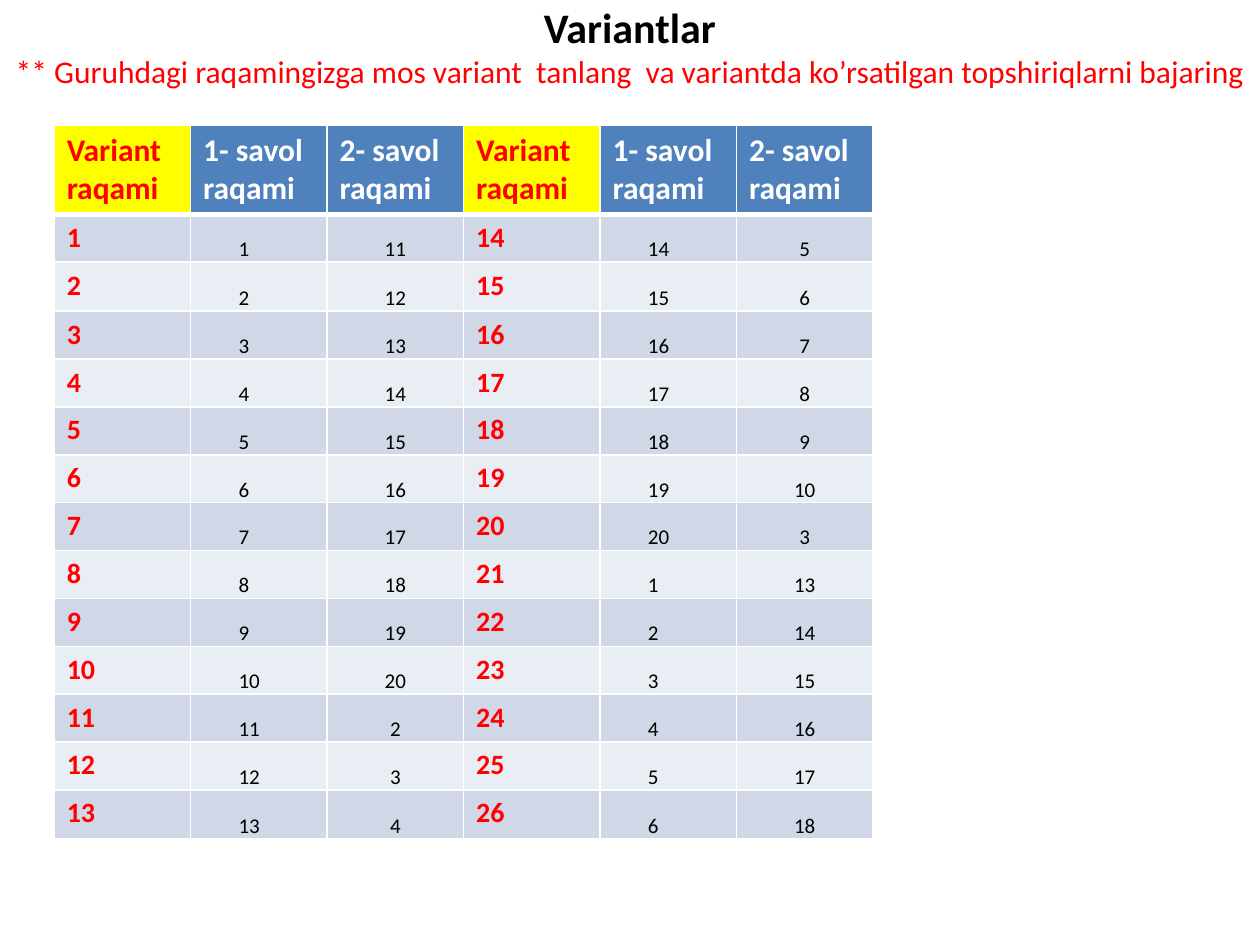
from dataclasses import dataclass

from lxml import etree
from pptx import Presentation
from pptx.dml.color import RGBColor
from pptx.enum.text import MSO_ANCHOR, PP_ALIGN
from pptx.oxml.ns import qn
from pptx.util import Inches, Pt

CENTER, LEFT = PP_ALIGN.CENTER, PP_ALIGN.LEFT
TOP, MIDDLE, BOTTOM = MSO_ANCHOR.TOP, MSO_ANCHOR.MIDDLE, MSO_ANCHOR.BOTTOM


@dataclass(frozen=True)
class Theme:
    font: str = "Calibri"
    black: str = "000000"
    white: str = "FFFFFF"
    red: str = "FF0000"
    yellow: str = "FFFF00"
    blue: str = "4F81BD"
    bands: tuple = ("D0D8E8", "E9EDF4")
    title_size: int = 24
    header_size: int = 18
    variant_size: int = 16
    number_size: int = 12
    border: int = 1
    header_border: int = 3


class SlideBuilder:
    def __init__(self, slide, theme):
        self.slide = slide
        self.theme = theme

    def style(self, span, size, color, bold):
        span.font.name = self.theme.font
        span.font.size = Pt(size)
        span.font.bold = bold
        span.font.color.rgb = RGBColor.from_string(color)

    def heading(self, left, top, width, height, lines):
        """Centred lines of one paragraph, each (text, size, color, bold)."""
        box = self.slide.shapes.add_textbox(
            Inches(left), Inches(top), Inches(width), Inches(height))
        frame = box.text_frame
        frame.word_wrap = True
        frame.vertical_anchor = MIDDLE
        para = frame.paragraphs[0]
        para.alignment = CENTER
        for index, (text, *look) in enumerate(lines):
            if index:
                para.add_line_break()
            span = para.add_run()
            span.text = text
            self.style(span, *look)

    def table(self, left, top, column_width, row_heights, columns):
        shape = self.slide.shapes.add_table(
            len(row_heights), columns, Inches(left), Inches(top),
            Inches(column_width * columns), Inches(sum(row_heights)))
        table = shape.table
        table.first_row = table.horz_banding = False
        for column in table.columns:
            column.width = Inches(column_width)
        for row, height in zip(table.rows, row_heights):
            row.height = Inches(height)
        return table

    def borders(self, cell, top, bottom):
        properties = cell._tc.get_or_add_tcPr()
        side = self.theme.border
        for tag, width in (("lnL", side), ("lnR", side), ("lnT", top), ("lnB", bottom)):
            line = etree.SubElement(properties, qn(f"a:{tag}"), w=str(Pt(width)))
            fill = etree.SubElement(line, qn("a:solidFill"))
            etree.SubElement(fill, qn("a:srgbClr"), val=self.theme.white)

    def cell(self, cell, text, fill, size, color, bold, align=LEFT, anchor=TOP, margins=None):
        cell.text_frame.text = text
        cell.vertical_anchor = anchor
        if margins:
            (cell.margin_left, cell.margin_top, cell.margin_right,
             cell.margin_bottom) = map(Inches, margins)
        para = cell.text_frame.paragraphs[0]
        para.alignment = align
        self.style(para.runs[0], size, color, bold)
        cell.fill.solid()
        cell.fill.fore_color.rgb = RGBColor.from_string(fill)


HEADERS = ("Variant raqami", "1- savol raqami", "2- savol raqami")
VARIANTS_PER_BLOCK = 13
QUESTION_COUNT = 20
SECOND_QUESTIONS = [*range(11, 21), *range(2, 11), 3, *range(13, 19)]


def main():
    theme = Theme()
    deck = Presentation()
    deck.slide_width, deck.slide_height = Inches(10), Inches(7.5)
    page = SlideBuilder(deck.slides.add_slide(deck.slide_layouts[6]), theme)

    # Title and instruction
    page.heading(0, 0.13, 10, 0.47, [
        ("Variantlar", theme.title_size, theme.black, True),
        ("** Guruhdagi raqamingizga mos variant  tanlang  va variantda "
         "ko’rsatilgan topshiriqlarni bajaring", theme.header_size, theme.red, False),
    ])

    # Table grid: two blocks of three columns
    heights = [0.71, 0.38, 0.39, *[0.38] * 10, 0.39]
    table = page.table(0.43, 0.99, 6.5 / 6, heights, 2 * len(HEADERS))
    for row in range(len(heights)):
        for column in range(2 * len(HEADERS)):
            page.borders(table.cell(row, column),
                         top=theme.header_border if row == 1 else theme.border,
                         bottom=theme.header_border if row == 0 else theme.border)

    # Header row
    for column, text in enumerate(HEADERS * 2):
        is_variant = column % len(HEADERS) == 0
        fill, color = (theme.yellow, theme.red) if is_variant else (theme.blue, theme.white)
        page.cell(table.cell(0, column), text, fill, theme.header_size, color, True)

    # Variants with their two question numbers
    number_look = (theme.number_size, theme.black, False)
    for index, second in enumerate(SECOND_QUESTIONS):
        block, line = divmod(index, VARIANTS_PER_BLOCK)
        row, column = line + 1, block * len(HEADERS)
        band = theme.bands[line % 2]
        first = index % QUESTION_COUNT + 1
        page.cell(table.cell(row, column), str(index + 1), band,
                  theme.variant_size, theme.red, True)
        page.cell(table.cell(row, column + 1), str(first), band, *number_look,
                  anchor=BOTTOM, margins=(0.38, 0.01, 0.01, 0))
        page.cell(table.cell(row, column + 2), str(second), band, *number_look,
                  align=CENTER, anchor=BOTTOM, margins=(0.01, 0.01, 0.01, 0))

    deck.save("out.pptx")


if __name__ == "__main__":
    main()
